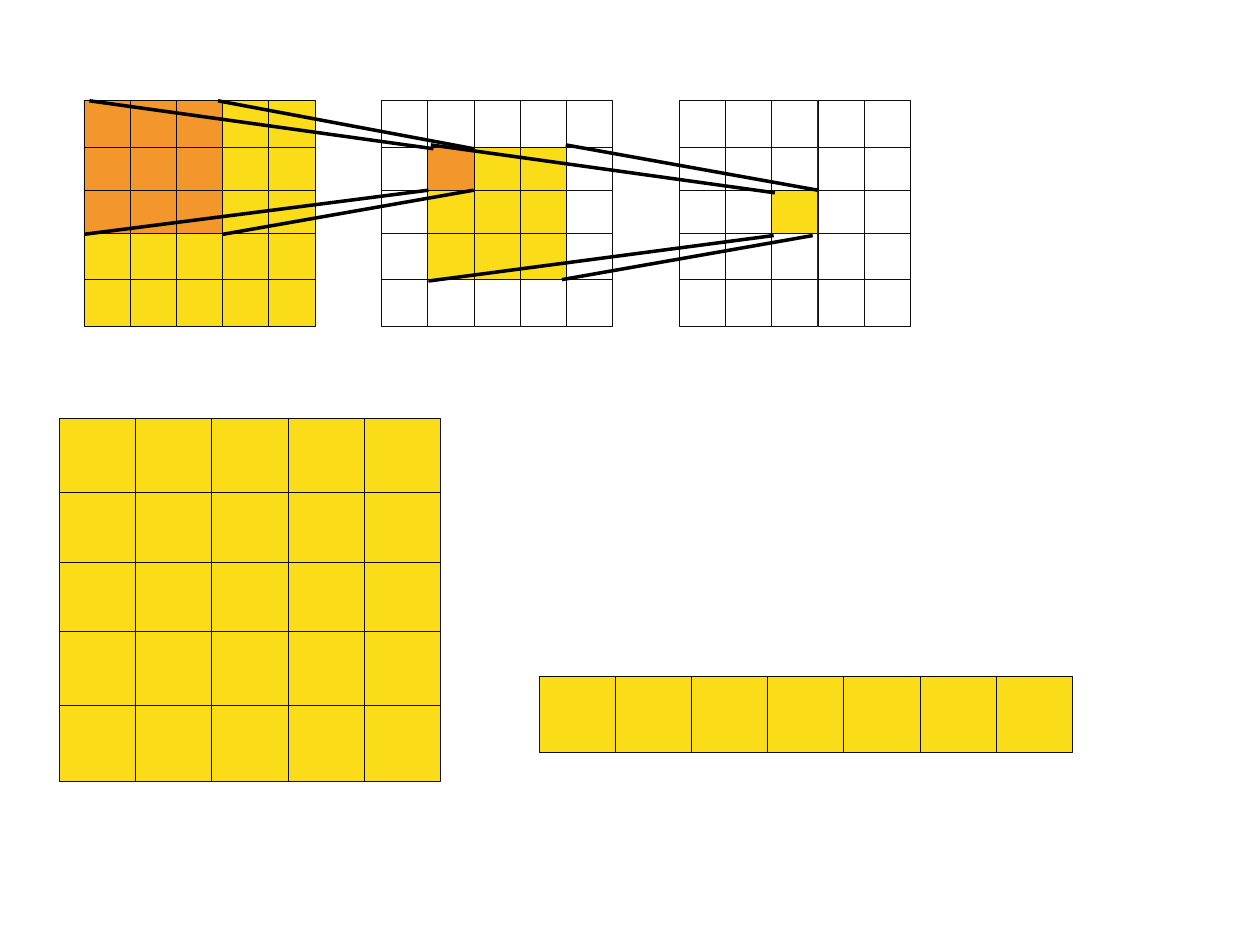
from itertools import product

from pptx import Presentation
from pptx.dml.color import RGBColor
from pptx.enum.shapes import MSO_CONNECTOR, MSO_SHAPE
from pptx.oxml import parse_xml
from pptx.oxml.ns import nsdecls
from pptx.util import Pt

YELLOW = RGBColor(0xFA, 0xDC, 0x19)
ORANGE = RGBColor(0xF3, 0x96, 0x2C)
WHITE = RGBColor(0xFF, 0xFF, 0xFF)
INK = RGBColor(0x0D, 0x0D, 0x0D)
BLACK = RGBColor(0x00, 0x00, 0x00)

FILLS = {"Y": YELLOW, "O": ORANGE, "W": WHITE}
ROW_OFFSETS = (0, 0.98, 1.89, 2.8, 3.77)
SMALL_CELL = (26.4, 27.1)
LARGE_CELL = (43.5, 43.5)

INPUT_LAYER = ["OOOYY"] * 3 + ["YYYYY"] * 2
HIDDEN_LAYER = ["WWWWW", "WOYYW", "WYYYW", "WYYYW", "WWWWW"]
OUTPUT_LAYER = ["WWWWW", "WWWWW", "WWYWW", "WWWWW", "WWWWW"]

GRIDS = [
    (308.2, 386.6, LARGE_CELL, ["YYYYYYY"]),
    (48, 57.6, SMALL_CELL, INPUT_LAYER),
    (34.1, 239, LARGE_CELL, ["YYYYY"] * 5),
    (218.1, 57.6, SMALL_CELL, HIDDEN_LAYER),
    (388.2, 57.6, SMALL_CELL, OUTPUT_LAYER),
]

PROJECTIONS = [
    ((51.1, 57.6), (247.7, 85)),
    ((124.6, 57.6), (270.7, 85)),
    ((48.2, 133.9), (244.8, 108.7)),
    ((127.4, 133.9), (270.7, 108.7)),
    ((246.2, 82.8), (442.8, 110.2)),
    ((323.3, 82.8), (467.3, 108.7)),
    ((321.1, 159.8), (464.4, 134.6)),
    ((244.8, 160.6), (442.1, 134.6)),
]


class Diagram:
    cell_outline = {"width": Pt(0.5), "rgb": INK}
    projection_outline = {"width": Pt(0), "rgb": BLACK}

    def __init__(self, slide):
        self.slide = slide

    def outline(self, line, style):
        line.fill.solid()
        for name, value in style.items():
            setattr(line.color if name == "rgb" else line, name, value)

    def cell(self, left, top, size, color):
        box = map(Pt, (left, top, *size))
        square = self.slide.shapes.add_shape(MSO_SHAPE.RECTANGLE, *box)
        square.shadow.inherit = False
        square.fill.solid()
        square.fill.fore_color.rgb = color
        self.outline(square.line, self.cell_outline)

    def grid(self, left, top, size, pattern):
        width, height = size
        for row, column in product(range(len(pattern)), range(len(pattern[0]))):
            self.cell(left + column * width, top + ROW_OFFSETS[row] * height,
                      size, FILLS[pattern[row][column]])

    def projection(self, start, end):
        ray = self.slide.shapes.add_connector(
            MSO_CONNECTOR.STRAIGHT, *map(Pt, start + end))
        self.outline(ray.line, self.projection_outline)
        ray._element.spPr.append(parse_xml(f"<a:effectLst {nsdecls('a')}/>"))


def main():
    presentation = Presentation()
    presentation.slide_width = Pt(720)
    presentation.slide_height = Pt(540)
    blank_layout = presentation.slide_layouts[6]
    diagram = Diagram(presentation.slides.add_slide(blank_layout))
    for grid in GRIDS:
        diagram.grid(*grid)
    for start, end in PROJECTIONS:
        diagram.projection(start, end)
    presentation.save("out.pptx")


if __name__ == "__main__":
    main()
